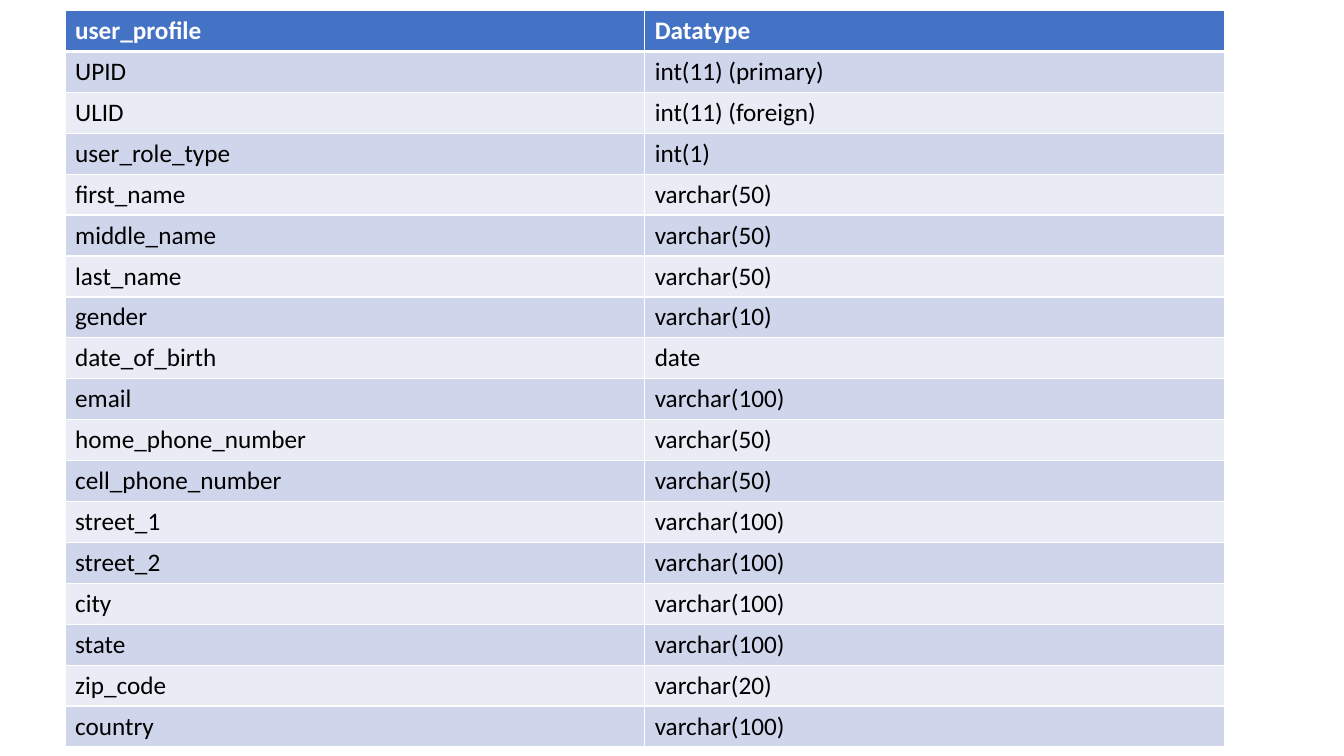
import lxml.etree
import pptx
import pptx.dml.color
import pptx.oxml.ns
import pptx.util

PX = 9525

COLUMNS = [
    ("user_profile", "Datatype"),
    ("UPID", "int(11) (primary)"),
    ("ULID", "int(11) (foreign)"),
    ("user_role_type", "int(1)"),
    ("first_name", "varchar(50)"),
    ("middle_name", "varchar(50)"),
    ("last_name", "varchar(50)"),
    ("gender", "varchar(10)"),
    ("date_of_birth", "date"),
    ("email", "varchar(100)"),
    ("home_phone_number", "varchar(50)"),
    ("cell_phone_number", "varchar(50)"),
    ("street_1", "varchar(100)"),
    ("street_2", "varchar(100)"),
    ("city", "varchar(100)"),
    ("state", "varchar(100)"),
    ("zip_code", "varchar(20)"),
    ("country", "varchar(100)"),
]


def px(length):
    return pptx.util.Emu(length * PX)


def color(value):
    return pptx.dml.color.RGBColor.from_string(value)


class SchemaSlide:
    font = "Calibri"
    size = 18
    header_fill = "4472C4"
    band_fills = ("E9EBF5", "CFD5EA")
    header_text = "FFFFFF"
    body_text = "000000"
    border = "FFFFFF"

    def __init__(self, deck):
        self.slide = deck.slides.add_slide(deck.slide_layouts[6])

    def table(self, left, top, column_width, row_height, rows):
        row_count, column_count = len(rows), len(rows[0])
        frame = self.slide.shapes.add_table(
            row_count, column_count, px(left), px(top),
            px(column_width * column_count), px(row_height * row_count))
        grid = frame.table
        for column in grid.columns:
            column.width = px(column_width)
        for row_index, texts in enumerate(rows):
            grid.rows[row_index].height = px(row_height)
            for column_index, text in enumerate(texts):
                self.cell(grid.cell(row_index, column_index), text, row_index)

    def cell(self, cell, text, row_index):
        header = row_index == 0
        self.borders(cell, top=3 if row_index == 1 else 1,
                     bottom=3 if header else 1)
        cell.fill.solid()
        fill = self.header_fill if header else self.band_fills[row_index % 2]
        cell.fill.fore_color.rgb = color(fill)
        cell.text_frame.text = text
        span = cell.text_frame.paragraphs[0].runs[0]
        span.font.name = self.font
        span.font.size = pptx.util.Pt(self.size)
        span.font.bold = header
        span.font.color.rgb = color(self.header_text if header else self.body_text)

    def borders(self, cell, top, bottom):
        qn = pptx.oxml.ns.qn
        properties = cell._tc.get_or_add_tcPr()
        for side, width in (("L", 1), ("R", 1), ("T", top), ("B", bottom)):
            line = lxml.etree.SubElement(
                properties, qn("a:ln" + side), w=str(pptx.util.Pt(width)))
            fill = lxml.etree.SubElement(line, qn("a:solidFill"))
            lxml.etree.SubElement(fill, qn("a:srgbClr"), val=self.border)


def main():
    deck = pptx.Presentation()
    deck.slide_width, deck.slide_height = px(1280), px(720)
    page = SchemaSlide(deck)
    page.table(62, 10, 552, 39, COLUMNS)
    deck.save("out.pptx")


if __name__ == "__main__":
    main()
